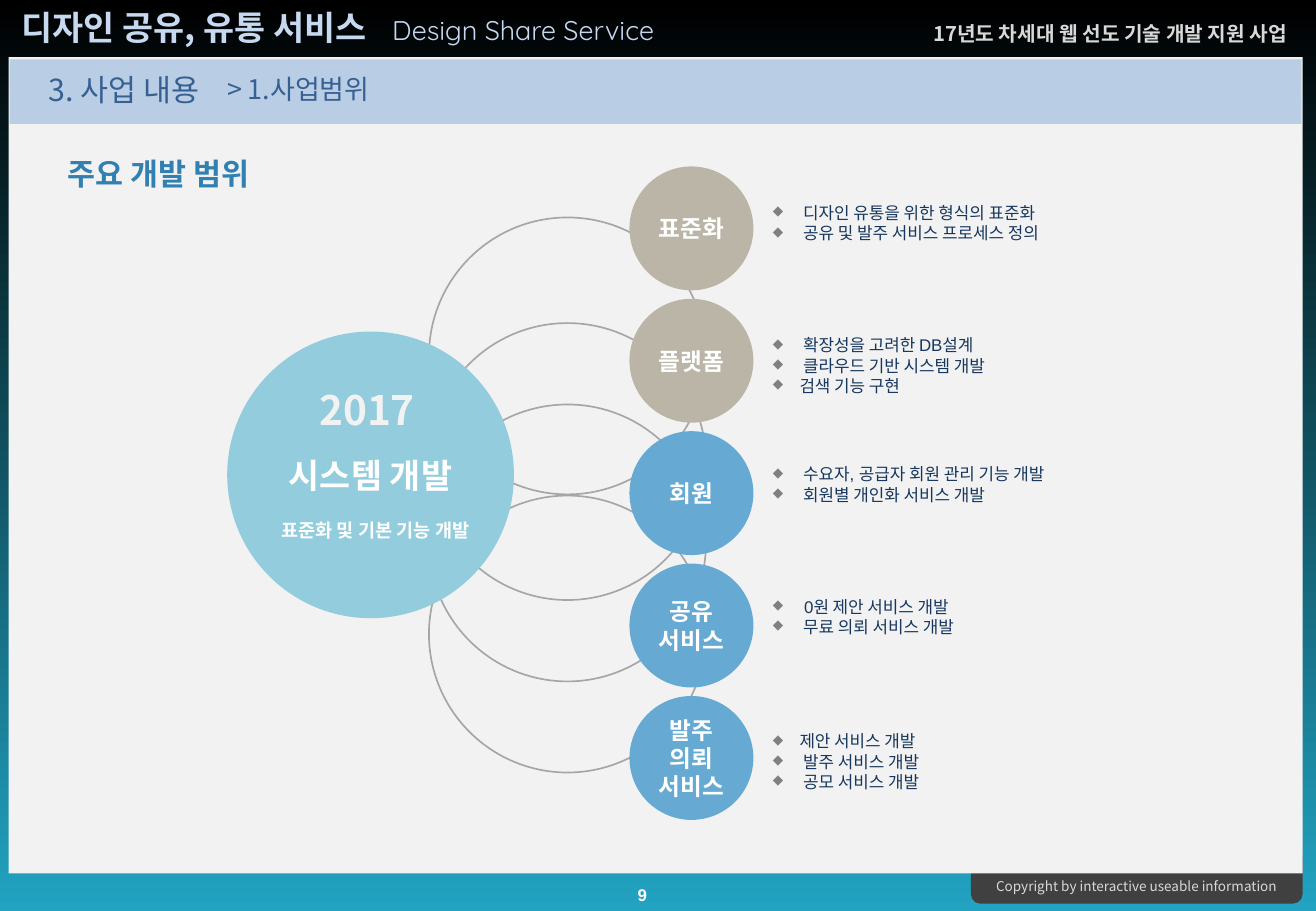
"""Builds the development scope slide: one hub, five areas and their details."""
from lxml.etree import SubElement
from pptx import Presentation
from pptx.dml.color import RGBColor
from pptx.enum.shapes import MSO_SHAPE as SHAPE
from pptx.enum.text import MSO_ANCHOR as ANCHOR, PP_ALIGN as ALIGN
from pptx.oxml.ns import qn
from pptx.util import Inches, Pt

BLACK = RGBColor(0x00, 0x00, 0x00)
WHITE = RGBColor(0xFF, 0xFF, 0xFF)
TEAL = RGBColor(0x21, 0xA3, 0xC1)
CHARCOAL = RGBColor(0x40, 0x40, 0x40)
PANEL = RGBColor(0xF2, 0xF2, 0xF2)
SILVER = RGBColor(0xD9, 0xD9, 0xD9)
PALE_BLUE = RGBColor(0xC6, 0xD9, 0xF1)
BAND = RGBColor(0xB9, 0xCD, 0xE5)
NAVY = RGBColor(0x37, 0x60, 0x92)
HEADING = RGBColor(0x31, 0x80, 0xB1)
RING = RGBColor(0xA6, 0xA6, 0xA6)
HUB = RGBColor(0x93, 0xCD, 0xDD)
TAUPE = RGBColor(0xBA, 0xB5, 0xA6)
BLUE = RGBColor(0x66, 0xAA, 0xD4)
DETAIL = RGBColor(0x17, 0x37, 0x5E)
NOTO = "Noto Sans CJK KR"

prs = Presentation()
prs.slide_width, prs.slide_height = Inches(10.83), Inches(7.5)
s = prs.slides.add_slide(prs.slide_layouts[6])


def add_shape(kind, x, y, w, h, fill=None):
    sp = s.shapes.add_shape(kind, Inches(x), Inches(y), Inches(w), Inches(h))
    sp.shadow.inherit = False
    sp.line.fill.background()
    if fill is None:
        sp.fill.background()
    else:
        sp.fill.solid()
        sp.fill.fore_color.rgb = fill
    return sp


def write(sp, lines, size, color, font=NOTO, bold=False, align=ALIGN.LEFT,
          anchor=ANCHOR.TOP, side=0.1, bullet=False):
    tf = sp.text_frame
    tf.word_wrap = True
    tf.vertical_anchor = anchor
    tf.margin_left = tf.margin_right = Inches(side)
    for i, line in enumerate(lines):
        p = tf.add_paragraph() if i else tf.paragraphs[0]
        p.alignment = align
        if bullet:
            pPr = p._p.get_or_add_pPr()
            pPr.set("marL", str(Inches(0.22)))
            pPr.set("indent", str(-Inches(0.22)))
            color_tag = SubElement(pPr, qn("a:buClr"))
            SubElement(color_tag, qn("a:srgbClr"), val="808080")
            SubElement(pPr, qn("a:buSzPct"), val="80000")
            SubElement(pPr, qn("a:buChar"), char="◆")
        r = p.add_run()
        r.text = line
        r.font.size, r.font.bold, r.font.name = Pt(size), bold, font
        r.font.color.rgb = color
        if font == NOTO:
            SubElement(r._r.get_or_add_rPr(), qn("a:ea"), typeface=font)


backdrop = add_shape(SHAPE.RECTANGLE, 0, 0, 10.83, 7.5)
backdrop.fill.gradient()
backdrop.fill.gradient_angle = 270
for stop, color, position in zip(backdrop.fill.gradient_stops, (BLACK, TEAL), (0, 1)):
    stop.color.rgb = color
    stop.position = position
add_shape(SHAPE.ROUNDED_RECTANGLE, 7.99, 6.97, 2.73, 0.47, CHARCOAL)
add_shape(SHAPE.RECTANGLE, 0.07, 0.47, 10.65, 6.72, PANEL)
add_shape(SHAPE.RECTANGLE, 0.08, 0.49, 10.63, 0.53, BAND)

for y in (1.79, 2.66, 3.33, 4.08):
    ring = add_shape(SHAPE.OVAL, 3.53, y, 2.28, 2.28)
    ring.line.color.rgb = RING
    ring.line.width = Pt(1)

hub = add_shape(SHAPE.OVAL, 1.87, 2.73, 2.36, 2.36, HUB)
write(hub, ["시스템 개발"], 20, WHITE, bold=True, align=ALIGN.CENTER,
      anchor=ANCHOR.MIDDLE, side=0)

labels = [
    (7.97, 7.18, 2.77, 0.24, "Copyright by interactive useable information", 8, SILVER, NOTO, False, ALIGN.CENTER),
    (3.13, 0.06, 3.07, 0.37, "Design Share Service", 16, PALE_BLUE, "Quicksand", False, ALIGN.LEFT),
    (0.08, 0.01, 4.33, 0.44, "디자인 공유, 유통 서비스", 20, PALE_BLUE, NOTO, True, ALIGN.LEFT),
    (5.1, 7.23, 0.37, 0.27, "9", 10, WHITE, "Arial", True, ALIGN.CENTER),
    (7.31, 0.13, 3.42, 0.3, "17년도 차세대 웹 선도 기술 개발 지원 사업 ", 12, SILVER, NOTO, True, ALIGN.RIGHT),
    (0.3, 0.54, 2.05, 0.4, "3. 사업 내용", 18, NAVY, NOTO, False, ALIGN.LEFT),
    (1.77, 0.55, 2.05, 0.37, "> 1.사업범위", 16, NAVY, NOTO, False, ALIGN.LEFT),
    (0.46, 1.23, 2.36, 0.4, "주요 개발 범위", 18, HEADING, NOTO, True, ALIGN.LEFT),
    (2.53, 3.12, 1.1, 0.5, "2017", 24, PANEL, NOTO, True, ALIGN.LEFT),
    (2.09, 4.22, 2, 0.31, "표준화 및 기본 기능 개발", 11, WHITE, "Arial", True, ALIGN.CENTER),
]
for x, y, w, h, text, size, color, font, bold, align in labels:
    box = s.shapes.add_textbox(Inches(x), Inches(y), Inches(w), Inches(h))
    write(box, [text], size, color, font, bold, align)

areas = [
    (["표준화"], TAUPE, 1.62, [" 디자인 유통을 위한 형식의 표준화", " 공유 및 발주 서비스 프로세스 정의"]),
    (["플랫폼"], TAUPE, 2.71, [" 확장성을 고려한 DB설계", " 클라우드 기반 시스템 개발", "검색 기능 구현"]),
    (["회원"], BLUE, 3.77, [" 수요자, 공급자 회원 관리 기능 개발", " 회원별 개인화 서비스 개발"]),
    (["공유", "서비스"], BLUE, 4.86, [" 0원 제안 서비스 개발", " 무료 의뢰 서비스 개발"]),
    (["발주", "의뢰", "서비스"], BLUE, 5.97, ["제안 서비스 개발", " 발주 서비스 개발", " 공모 서비스 개발"]),
]
for i, (name, fill, detail_y, details) in enumerate(areas):
    circle = add_shape(SHAPE.OVAL, 5.18, 1.37 + 1.09 * i, 1.02, 1.02, fill)
    write(circle, name, 14, WHITE, bold=True, align=ALIGN.CENTER,
          anchor=ANCHOR.MIDDLE, side=0)
    box = s.shapes.add_textbox(Inches(6.36), Inches(detail_y), Inches(3.23), Inches(0.47))
    write(box, details, 10, DETAIL, "Arial", side=0, bullet=True)

prs.save("out.pptx")
